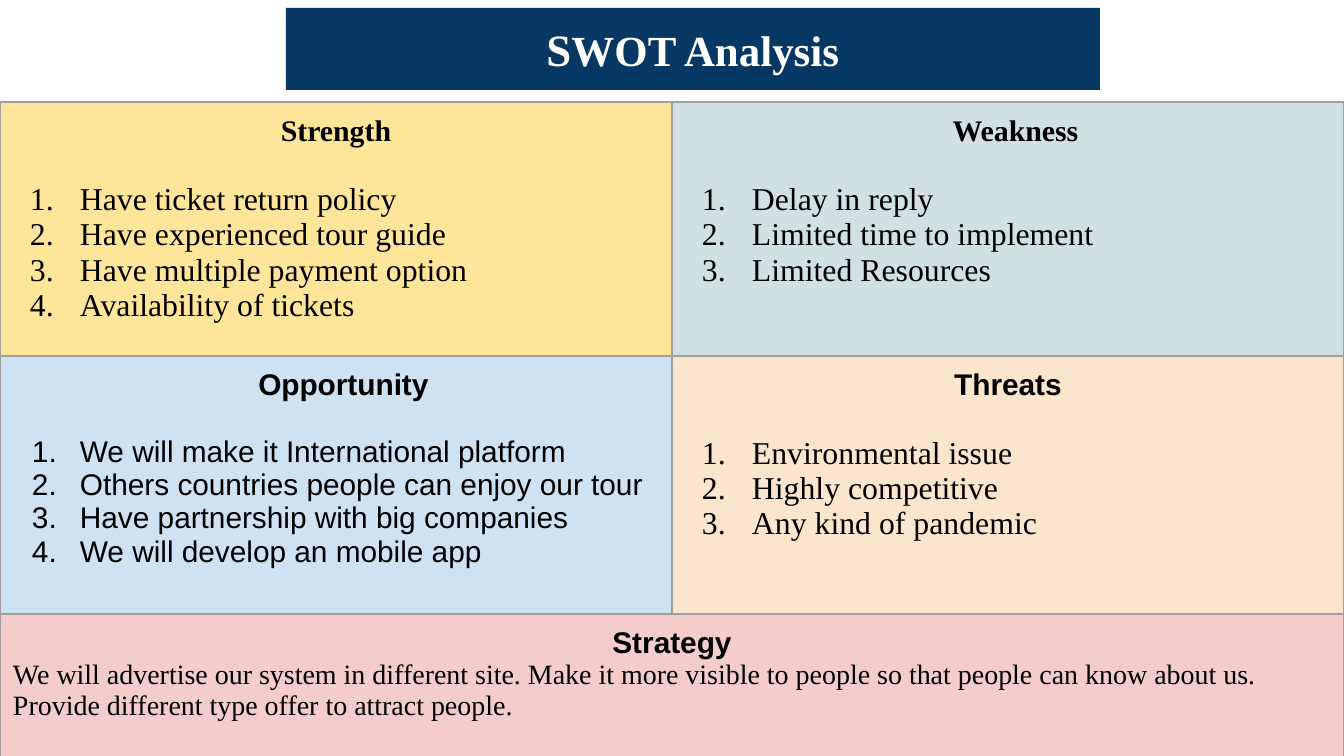
"""Build a one-slide SWOT analysis table under a title banner."""
from lxml import etree
from pptx import Presentation
from pptx import util as u
from pptx.dml.color import RGBColor
from pptx.enum import text
from pptx.oxml import ns

PX = 914400 / 134.4
TIMES, ARIAL = "Times New Roman", "Arial"
COLORS = {
    "navy": "073763", "white": "FFFFFF", "black": "000000", "border": "9E9E9E",
    "Strength": "FFE599", "Weakness": "D0E0E3", "Opportunity": "CFE2F3",
    "Threats": "FCE5CD", "Strategy": "F4CCCC",
}
TITLE = [("S", 24), ("WOT Analysis", 23)]
TITLE_BOX = (286, 8, 814, 82)
TABLE_BOX = (0, 102, 1344, 656)
ROW_HEIGHTS = [254, 258, 144]
MARGIN = 13
QUADRANTS = [
    {"name": "Strength", "head_font": TIMES, "shift": 0, "font": TIMES, "size": 17, "hang": 50,
     "items": ["Have ticket return policy", "Have experienced tour guide",
               "Have multiple payment option", "Availability of tickets"]},
    {"name": "Weakness", "head_font": TIMES, "shift": 15, "font": TIMES, "size": 17, "hang": 50,
     "items": ["Delay in reply", "Limited time to implement", "Limited Resources"]},
    {"name": "Opportunity", "head_font": ARIAL, "shift": 15, "font": ARIAL, "size": 16, "hang": 48,
     "items": ["We will make it International platform",
               "Others countries people can enjoy our tour",
               "Have partnership with big companies", "We will develop an mobile app"]},
    {"name": "Threats", "head_font": ARIAL, "shift": 0, "font": TIMES, "size": 17, "hang": 50,
     "items": ["Environmental issue", "Highly competitive", "Any kind of pandemic"]},
]
STRATEGY = ("We will advertise our system in different site. Make it more visible to people "
            "so that people can know about us. Provide different type offer to attract people.")


def px(n):
    return u.Emu(round(n * PX))


def rgb(name):
    return RGBColor.from_string(COLORS[name])


def add_run(p, words, font, size, bold=False, color="black"):
    r = p.add_run()
    r.text = words
    r.font.name, r.font.size, r.font.bold = font, u.Pt(size), bold
    r.font.color.rgb = rgb(color)


def set_margins(target):
    target.margin_left = target.margin_right = px(MARGIN)
    target.margin_top = target.margin_bottom = px(MARGIN)


def style_cell(cell, fill=None):
    set_margins(cell)
    if fill:
        cell.fill.solid()
        cell.fill.fore_color.rgb = rgb(fill)
    tcPr = cell._tc.get_or_add_tcPr()
    for i, side in enumerate(("lnL", "lnR", "lnT", "lnB")):
        ln = etree.Element(ns.qn("a:" + side), w=str(u.Pt(0.75)))
        solid = etree.SubElement(ln, ns.qn("a:solidFill"))
        etree.SubElement(solid, ns.qn("a:srgbClr"), val=COLORS["border"])
        tcPr.insert(i, ln)


def add_heading(cell, name, font, gap=0, shift=0):
    p = cell.text_frame.paragraphs[0]
    p.alignment = text.PP_ALIGN.CENTER
    p.space_after = u.Pt(gap)
    p._p.get_or_add_pPr().set("marL", str(px(shift)))
    add_run(p, name, font, 16, True)


def add_numbered(cell, words, font, size, hang):
    p = cell.text_frame.add_paragraph()
    pPr = p._p.get_or_add_pPr()
    pPr.set("marL", str(px(67)))
    pPr.set("indent", str(-px(hang)))
    clr = etree.SubElement(pPr, ns.qn("a:buClr"))
    etree.SubElement(clr, ns.qn("a:srgbClr"), val=COLORS["black"])
    etree.SubElement(pPr, ns.qn("a:buFont"), typeface=font)
    etree.SubElement(pPr, ns.qn("a:buAutoNum"), type="arabicPeriod")
    add_run(p, words, font, size)


def add_title(s):
    sp = s.shapes.title
    sp.left, sp.top, sp.width, sp.height = map(px, TITLE_BOX)
    sp.fill.solid()
    sp.fill.fore_color.rgb = rgb("navy")
    tf = sp.text_frame
    tf.word_wrap = True
    tf.auto_size = text.MSO_AUTO_SIZE.NONE
    tf.vertical_anchor = text.MSO_ANCHOR.MIDDLE
    set_margins(tf)
    p = tf.paragraphs[0]
    p.alignment = text.PP_ALIGN.CENTER
    for words, size in TITLE:
        add_run(p, words, TIMES, size, True, "white")


def add_swot(s):
    table = s.shapes.add_table(3, 2, *map(px, TABLE_BOX)).table
    table.first_row = table.horz_banding = False
    for col in table.columns:
        col.width = px(TABLE_BOX[2] / 2)
    for row, height in zip(table.rows, ROW_HEIGHTS):
        row.height = px(height)
    for i, q in enumerate(QUADRANTS):
        cell = table.cell(*divmod(i, 2))
        style_cell(cell, q["name"])
        add_heading(cell, q["name"], q["head_font"], 18, q["shift"])
        for item in q["items"]:
            add_numbered(cell, item, q["font"], q["size"], q["hang"])
    cell = table.cell(2, 0)
    cell.merge(table.cell(2, 1))
    style_cell(cell, "Strategy")
    style_cell(table.cell(2, 1))
    add_heading(cell, "Strategy", ARIAL)
    add_run(cell.text_frame.add_paragraph(), STRATEGY, TIMES, 15)


def main():
    prs = Presentation()
    prs.slide_width, prs.slide_height = px(1344), px(756)
    s = prs.slides.add_slide(prs.slide_layouts[5])
    add_title(s)
    add_swot(s)
    prs.save("out.pptx")


if __name__ == "__main__":
    main()
